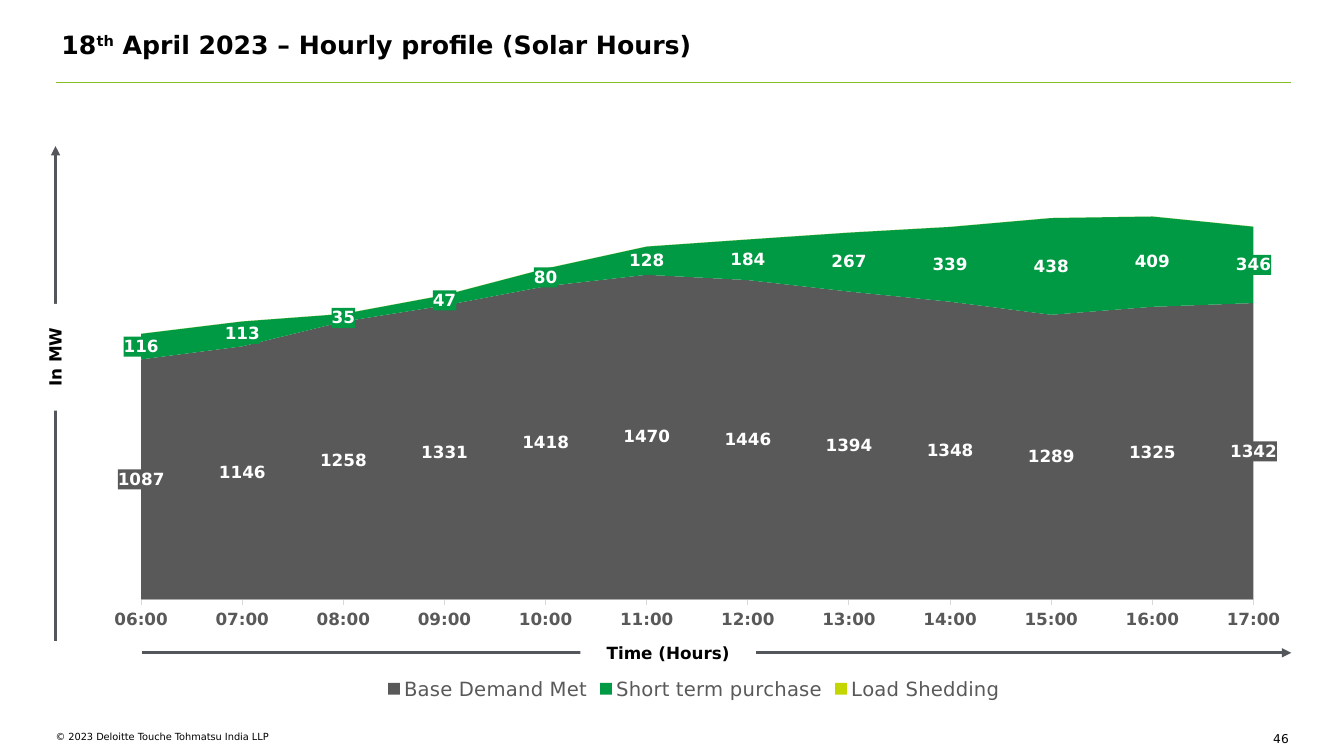
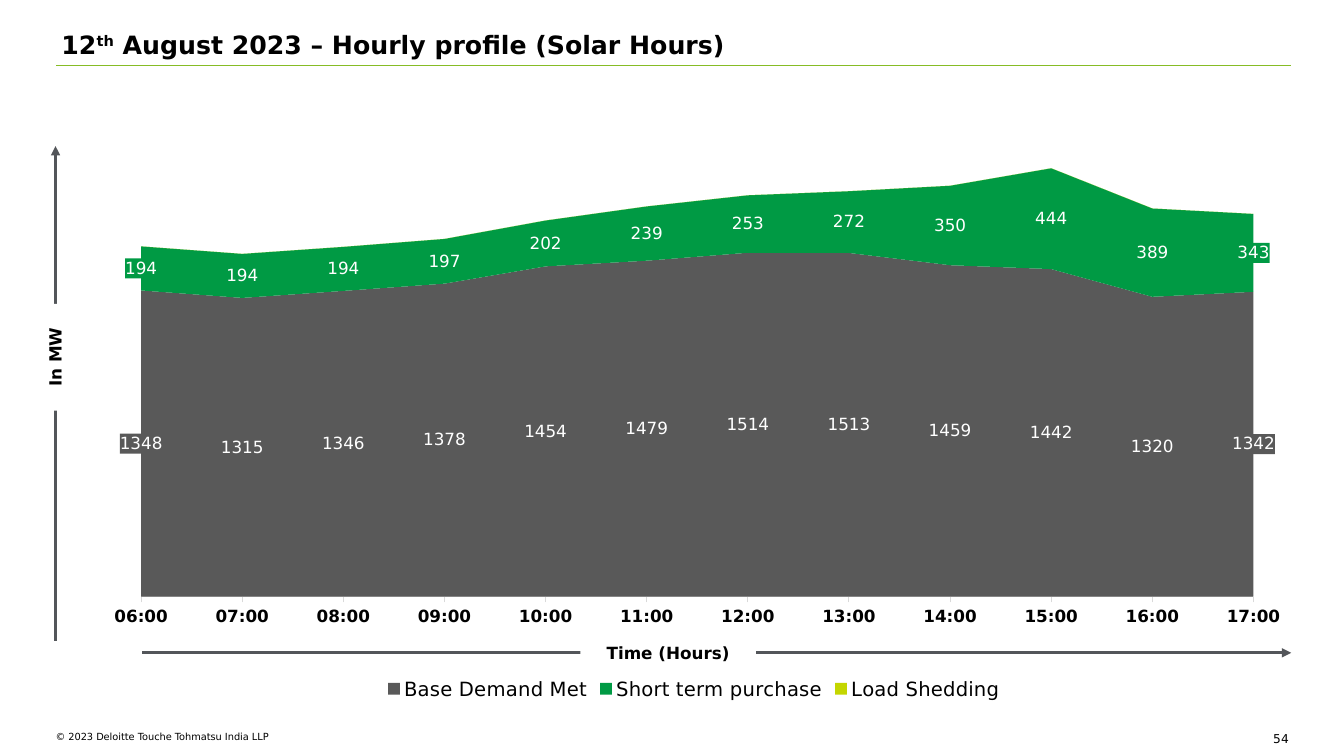
from lxml import etree
from pptx import Presentation
from pptx.chart.data import CategoryChartData
from pptx.dml.color import RGBColor
from pptx.enum.chart import XL_CHART_TYPE as CT, XL_LEGEND_POSITION as LP, XL_TICK_MARK as TM
from pptx.enum.shapes import MSO_CONNECTOR as CONN, MSO_SHAPE as SHAPE
from pptx.enum.text import MSO_ANCHOR as ANCHOR, PP_ALIGN as ALIGN
from pptx.oxml import parse_xml
from pptx.oxml.ns import nsdecls, qn
from pptx.util import Cm, Pt

FONT = "DejaVu Sans"
COLORS = {
    "text": "000000", "white": "FFFFFF", "rule": "86BC25", "axis": "53565A",
    "grey": "595959", "tick": "D9D9D9", "base": "595959",
    "purchase": "009A44", "shedding": "C4D600",
}
LEFT, RIGHT = 1.42, 32.54
HOURS = [f"{hour:02}:00" for hour in range(6, 18)]
SERIES = [("Base Demand Met", "base"), ("Short term purchase", "purchase"),
          ("Load Shedding", "shedding")]
PLOT_AREA = {"x": 0.035, "y": 0.098, "w": 0.936, "h": 0.729}

PROFILES = [
    dict(day="18", month="April 2023", page="46", rule_y=2.08,
         key_color="grey", label_bold=True,
         base=[1087, 1146, 1258, 1331, 1418, 1470, 1446, 1394, 1348, 1289, 1325, 1342],
         purchase=[116, 113, 35, 47, 80, 128, 184, 267, 339, 438, 409, 346]),
    dict(day="12", month="August 2023", page="54", rule_y=1.65,
         key_color="text", label_bold=False,
         base=[1348, 1315, 1346, 1378, 1454, 1479, 1514, 1513, 1459, 1442, 1320, 1342],
         purchase=[194, 194, 194, 197, 202, 239, 253, 272, 350, 444, 389, 343]),
]


def rgb(name):
    return RGBColor.from_string(COLORS[name])


def style_font(font, size, color="text", bold=False):
    font.name, font.size, font.bold = FONT, Pt(size), bold
    font.color.rgb = rgb(color)


def add_text(tf, *runs, size=12, color="text", bold=False, align=ALIGN.LEFT,
             anchor=ANCHOR.TOP, inset=0, spacing=None):
    """Fill a text frame; a run given as a tuple is superscript."""
    tf.word_wrap, tf.vertical_anchor = True, anchor
    tf.margin_left = tf.margin_right = tf.margin_top = tf.margin_bottom = Cm(inset)
    p = tf.paragraphs[0]
    p.alignment, p.line_spacing = align, spacing
    for run in runs:
        r = p.add_run()
        r.text = run[0] if isinstance(run, tuple) else run
        style_font(r.font, size, color, bold)
        if isinstance(run, tuple):
            r.font._element.set("baseline", "30000")


def add_box(s, left, top, width, height):
    return s.shapes.add_textbox(Cm(left), Cm(top), Cm(width), Cm(height)).text_frame


def add_line(s, x1, y1, x2, y2, color, width, arrow=False):
    line = s.shapes.add_connector(CONN.STRAIGHT, Cm(x1), Cm(y1), Cm(x2), Cm(y2))
    line.line.color.rgb, line.line.width = rgb(color), Pt(width)
    if arrow:
        etree.SubElement(line.line._get_or_add_ln(), qn("a:tailEnd"), type="triangle")
    etree.SubElement(line._element.spPr, qn("a:effectLst"))


def add_axis_label(s, text, center_x, center_y, width, height, rotation=0):
    sp = s.shapes.add_shape(SHAPE.RECTANGLE, Cm(center_x - width / 2),
                            Cm(center_y - height / 2), Cm(width), Cm(height))
    sp.shadow.inherit = False
    sp.fill.solid()
    sp.fill.fore_color.rgb = rgb("white")
    sp.line.fill.background()
    sp.rotation = rotation
    add_text(sp.text_frame, text, bold=True, align=ALIGN.CENTER,
             anchor=ANCHOR.MIDDLE, inset=0.25, spacing=1.06)


def add_header(s, day, month, rule_y):
    add_text(add_box(s, LEFT + 0.13, 0.74, 31, 0.97), day, ("th",),
             f" {month} – Hourly profile (Solar Hours)", size=18, bold=True)
    add_line(s, LEFT, rule_y, RIGHT, rule_y, "rule", 1)


def add_footer(s, page, top=18.42):
    add_text(add_box(s, 1.4, top, 14.88, 0.56),
             "© 2023 Deloitte Touche Tohmatsu India LLP", size=7)
    add_text(add_box(s, 31.62, top, 0.86, 0.28), page, size=8.7, align=ALIGN.RIGHT)


def add_axes(s, left, top, width, height):
    """Time arrow along the bottom of the box, power arrow up its left side."""
    bottom, right = top + height, left + width
    add_line(s, left + 2.18, bottom, right, bottom, "axis", 2.25, arrow=True)
    add_axis_label(s, "Time (Hours)", left + 15.44, bottom - 0.02, 4.42, 0.66)
    add_line(s, left, bottom - 0.3, left, top, "axis", 2.25, arrow=True)
    add_axis_label(s, "In MW", left - 0.03, top + 5.32, 2.69, 1.04, rotation=270)


def set_plot_area(chart):
    """Fix the inner plot area and make the chart background clear."""
    plot_area = chart._chartSpace.chart.plotArea
    for old in plot_area.findall(qn("c:layout")):
        plot_area.remove(old)
    modes = "".join(f'<c:{k}Mode val="edge"/>' for k in "xy")
    sizes = "".join(f'<c:{k} val="{v}"/>' for k, v in PLOT_AREA.items())
    plot_area.insert(0, parse_xml(
        f'<c:layout {nsdecls("c")}><c:manualLayout><c:layoutTarget val="inner"/>'
        f'{modes}{sizes}</c:manualLayout></c:layout>'))
    chart._chartSpace.chart.addnext(parse_xml(
        f'<c:spPr {nsdecls("c", "a")}><a:noFill/><a:ln><a:noFill/></a:ln></c:spPr>'))


def add_value_labels(series, color, bold):
    """White values on a patch of the series colour."""
    labels = series.data_labels
    labels.show_value = True
    labels.number_format, labels.number_format_is_linked = "0", False
    style_font(labels.font, 12, "white", bold)
    labels._element.find(qn("c:txPr")).addprevious(parse_xml(
        f'<c:spPr {nsdecls("c", "a")}><a:solidFill><a:srgbClr val="{COLORS[color]}"/>'
        '</a:solidFill><a:ln><a:noFill/></a:ln></c:spPr>'))


def add_demand_chart(s, left, top, width, height, values, key_color, label_bold):
    data = CategoryChartData(number_format="0")
    data.categories = HOURS
    for name, key in SERIES:
        data.add_series(name, values[key])
    chart = s.shapes.add_chart(CT.AREA_STACKED, Cm(left), Cm(top), Cm(width),
                               Cm(height), data).chart
    style_font(chart.font, 10)
    chart.has_title = False
    set_plot_area(chart)

    # Series
    plot = chart.plots[0]
    plot.vary_by_categories = False
    for series, (_, key) in zip(plot.series, SERIES):
        series.format.fill.solid()
        series.format.fill.fore_color.rgb = rgb(key)
        if any(values[key]):
            add_value_labels(series, key, label_bold)

    # Axes
    hours, power = chart.category_axis, chart.value_axis
    hours.has_major_gridlines = power.has_major_gridlines = False
    hours.major_tick_mark, hours.minor_tick_mark = TM.OUTSIDE, TM.NONE
    hours.format.line.color.rgb, hours.format.line.width = rgb("tick"), Pt(0.75)
    style_font(hours.tick_labels.font, 12, key_color, True)
    power.minimum_scale, power.maximum_scale = 0, 2000
    power.visible = False
    power._element.find(qn("c:crossBetween")).set("val", "midCat")

    # Legend
    chart.has_legend = True
    chart.legend.position, chart.legend.include_in_layout = LP.BOTTOM, False
    style_font(chart.legend.font, 14, key_color)


def add_profile_slide(prs, profile):
    s = prs.slides.add_slide(prs.slide_layouts[6])
    rule_y = profile["rule_y"]
    add_footer(s, profile["page"])
    add_header(s, profile["day"], profile["month"], rule_y)
    add_axes(s, 1.4, 3.68, RIGHT - 1.4, 12.77)
    values = {"base": profile["base"], "purchase": profile["purchase"],
              "shedding": [0] * len(HOURS)}
    chart_top = rule_y + 0.4
    add_demand_chart(s, 2.51, chart_top, 29.95, 17.75 - chart_top, values,
                     profile["key_color"], profile["label_bold"])


def main():
    prs = Presentation()
    prs.slide_width, prs.slide_height = Cm(33.87), Cm(19.05)
    for profile in PROFILES:
        add_profile_slide(prs, profile)
    prs.save("out.pptx")


if __name__ == "__main__":
    main()
